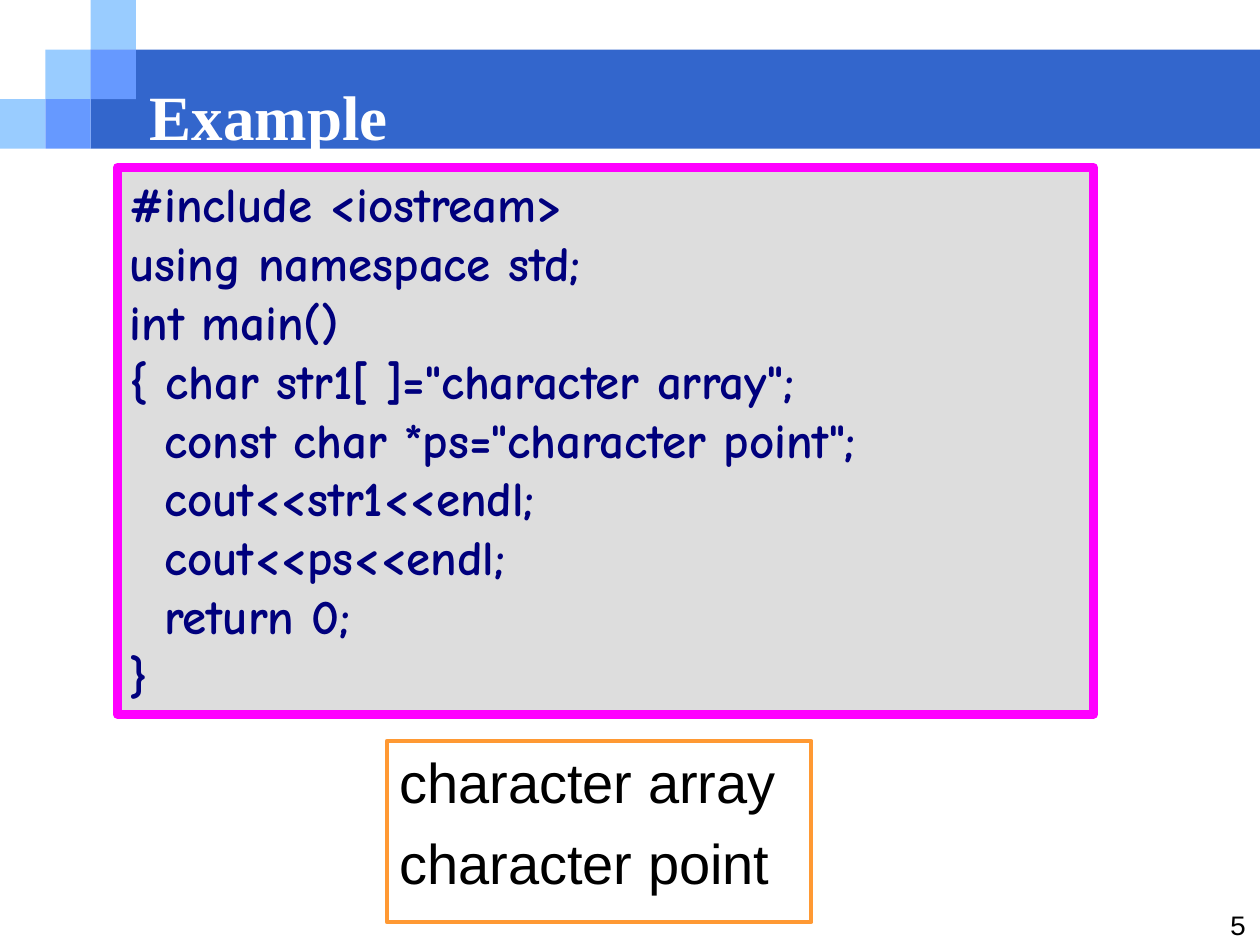
from dataclasses import dataclass

from pptx import Presentation
from pptx.dml.color import RGBColor
from pptx.enum.shapes import MSO_SHAPE
from pptx.enum.text import MSO_ANCHOR as Anchor, MSO_AUTO_SIZE as AutoSize, PP_ALIGN as Align
from pptx.util import Inches, Pt


@dataclass(frozen=True)
class TextStyle:
    font: str
    size: int
    color: str
    bold: bool = False


class Theme:
    band, light, mid = "3366CC", "99CCFF", "6699FF"
    code_fill, code_border, output_border = "DDDDDD", "FF00FF", "FF9933"
    title = TextStyle("Times New Roman", 36, "FFFFFF", True)
    code = TextStyle("Comic Neue", 28, "00007D", True)
    output = TextStyle("Arial", 32, "000000")
    number = TextStyle("Courier New", 16, "000000")


CODE = """#include <iostream>
using namespace std;
int main()
{ char str1[ ]="character array";
  const char *ps="character point";
  cout<<str1<<endl;
  cout<<ps<<endl;
  return 0;
}"""


def add_rect(slide, box, fill=None, border=None, border_width=1):
    rect = slide.shapes.add_shape(MSO_SHAPE.RECTANGLE, *map(Inches, box))
    rect.shadow.inherit = False
    if fill:
        rect.fill.solid()
        rect.fill.fore_color.rgb = RGBColor.from_string(fill)
    else:
        rect.fill.background()
    if border:
        rect.line.color.rgb = RGBColor.from_string(border)
        rect.line.width = Pt(border_width)
    else:
        rect.line.fill.background()
    return rect


def write_lines(holder, lines, style, align=Align.LEFT, anchor=Anchor.TOP, gap=0):
    frame = holder.text_frame
    frame.word_wrap = True
    frame.vertical_anchor = anchor
    for index, line in enumerate(lines):
        paragraph = frame.add_paragraph() if index else frame.paragraphs[0]
        paragraph.alignment = align
        if index and gap:
            paragraph.space_before = Pt(gap)
        run = paragraph.add_run()
        run.text = line
        run.font.name = style.font
        run.font.size = Pt(style.size)
        run.font.bold = style.bold
        run.font.color.rgb = RGBColor.from_string(style.color)
    return frame


def add_header(slide, box):
    """Blue band with a staircase of squares at its left end."""
    left, top, width, height = box
    step_x, step_y = 0.36, height / 3
    add_rect(slide, (left + 2 * step_x, top + step_y, width - 2 * step_x, 2 * step_y), Theme.band)
    # Each diagonal of the grid has one colour
    for diagonal, color in ((2, Theme.light), (3, Theme.mid)):
        for column in range(diagonal - 2, 3):
            row = diagonal - column
            add_rect(slide, (left + column * step_x, top + row * step_y, step_x, step_y), color)


def add_title(slide, box, title):
    holder = slide.shapes.add_textbox(*map(Inches, box))
    write_lines(holder, [title], Theme.title, anchor=Anchor.MIDDLE)


def add_code(slide, box, code):
    panel = add_rect(slide, box, Theme.code_fill, Theme.code_border, 5)
    frame = write_lines(panel, code.splitlines(), Theme.code)
    frame.auto_size = AutoSize.SHAPE_TO_FIT_TEXT


def add_output(slide, box, lines):
    panel = add_rect(slide, box, border=Theme.output_border, border_width=2.25)
    write_lines(panel, lines, Theme.output, gap=8)


def add_page_number(slide, box, number):
    holder = slide.shapes.add_textbox(*map(Inches, box))
    write_lines(holder, [number], Theme.number, align=Align.RIGHT)


def main():
    deck = Presentation()
    deck.slide_width, deck.slide_height = Inches(10), Inches(7.5)
    slide = deck.slides.add_slide(deck.slide_layouts[6])

    add_header(slide, (0, 0, 10, 1.18))
    add_page_number(slide, (9.44, 7.15, 0.55, 0.35), "5")
    add_code(slide, (0.93, 1.33, 7.75, 4.34), CODE)
    add_output(slide, (3.07, 5.88, 3.37, 1.44), ["character array", "character point"])
    add_title(slide, (1.09, 0.65, 8.08, 0.53), "Example")

    deck.save("out.pptx")


if __name__ == "__main__":
    main()
